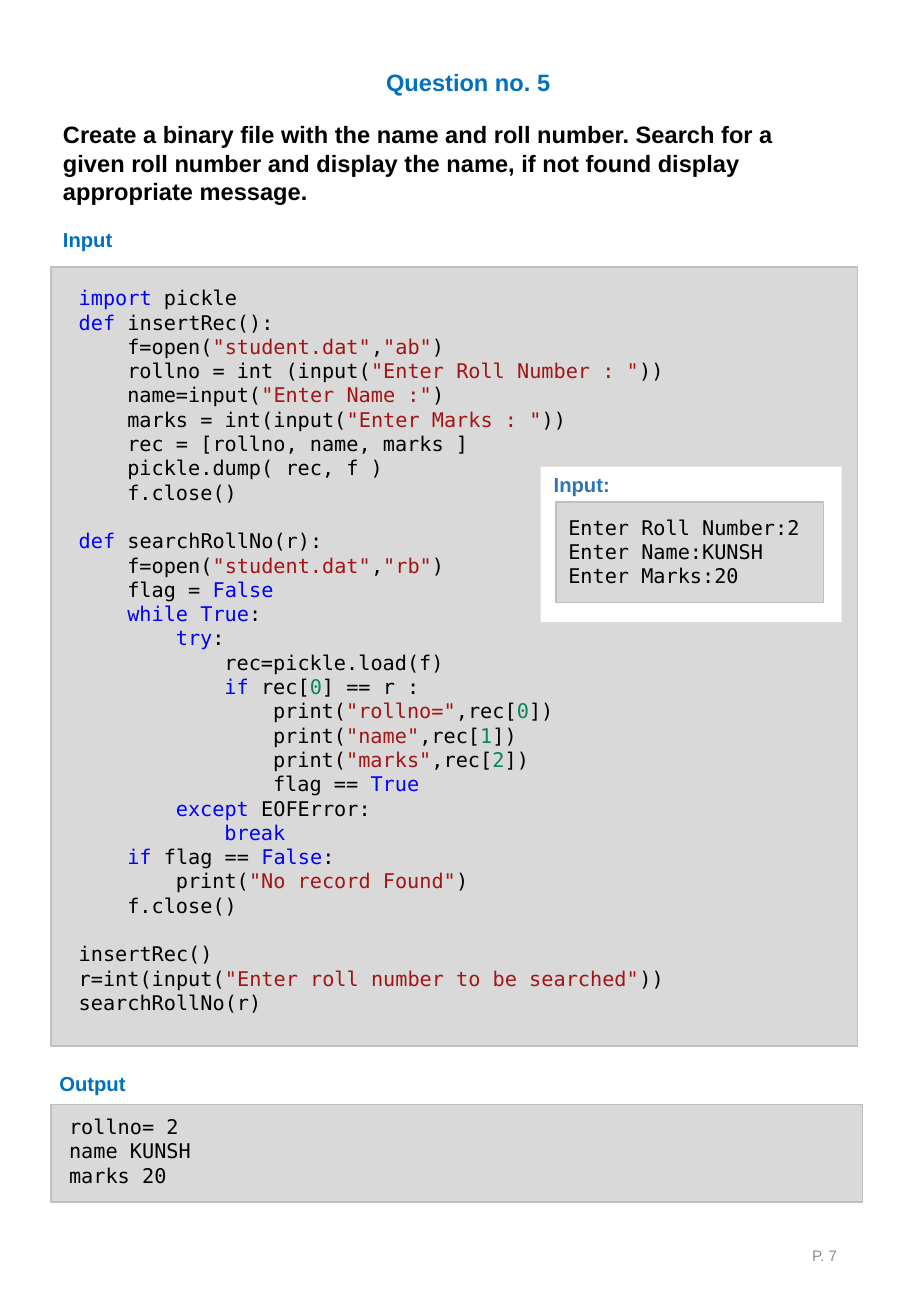
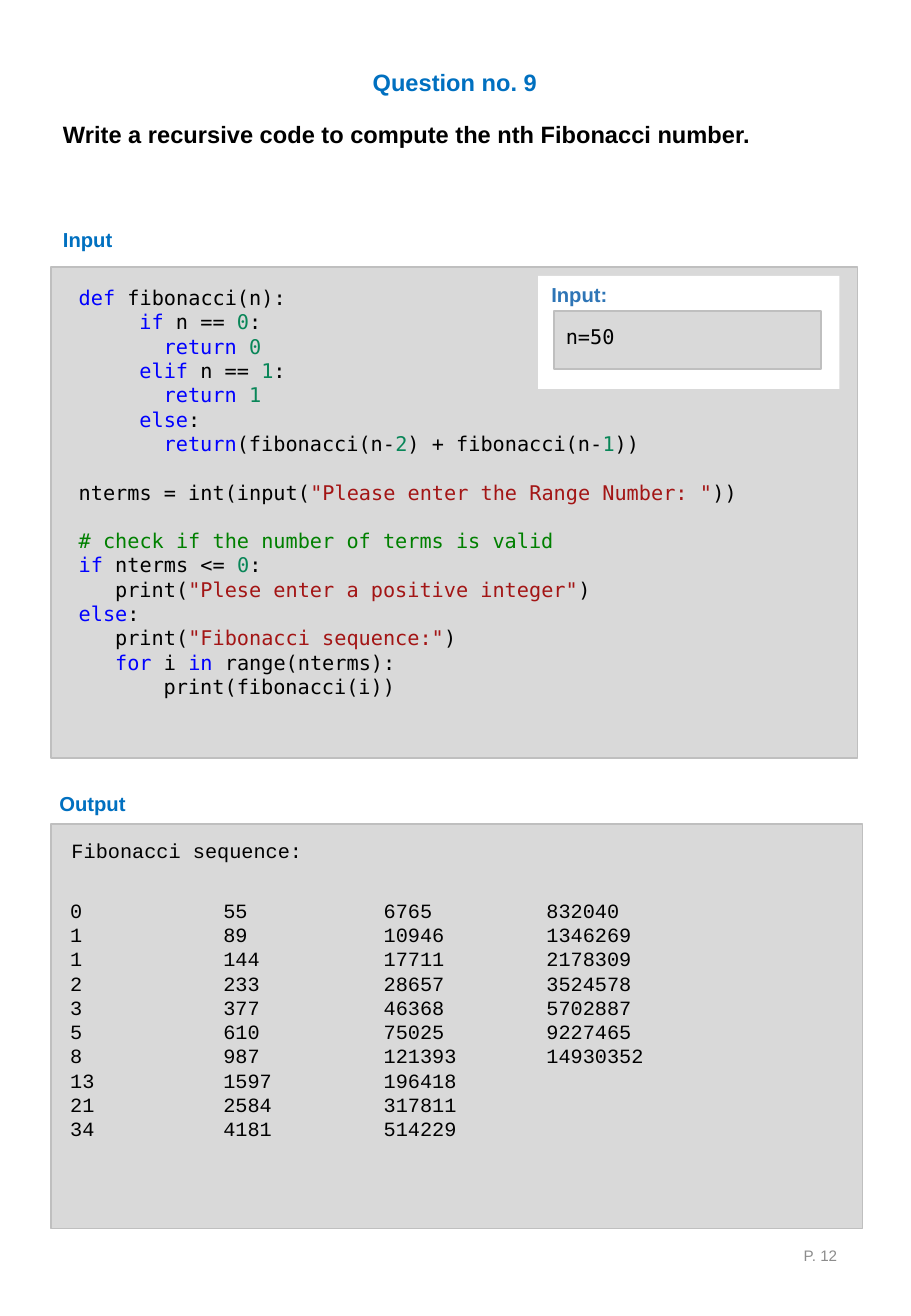
from itertools import groupby

from pptx import Presentation
from pptx.dml.color import RGBColor
from pptx.enum.shapes import MSO_SHAPE
from pptx.enum.text import MSO_ANCHOR, PP_ALIGN
from pptx.util import Inches, Pt

BLACK = RGBColor(0x00, 0x00, 0x00)
WHITE = RGBColor(0xFF, 0xFF, 0xFF)
BLUE = RGBColor(0x00, 0x70, 0xC0)
STEEL = RGBColor(0x2E, 0x75, 0xB6)
PANEL = RGBColor(0xD9, 0xD9, 0xD9)
EDGE = RGBColor(0xBF, 0xBF, 0xBF)
GREY = RGBColor(0x8C, 0x8C, 0x8C)
KEYWORD = RGBColor(0x00, 0x00, 0xFF)
STRING = RGBColor(0xA3, 0x15, 0x15)
NUMBER = RGBColor(0x09, 0x86, 0x58)
COMMENT = RGBColor(0x00, 0x80, 0x00)

SANS, MONO, COURIER = "Arial", "DejaVu Sans Mono", "Courier New"
WORDS = set("import def False True while try if elif else except break "
            "return for in".split())
CHAR = 0.1   # width of one code character, in inches
LINE = 14.4  # height of one code line, in points

SEARCH = '''\
import pickle
def insertRec():
    f=open("student.dat","ab")
    rollno = int (input("Enter Roll Number : "))
    name=input("Enter Name :")
    marks = int(input("Enter Marks : "))
    rec = [rollno, name, marks ]
    pickle.dump( rec, f )
    f.close()

def searchRollNo(r):
    f=open("student.dat","rb")
    flag = False
    while True:
        try:
            rec=pickle.load(f)
            if rec[0] == r :
                print("rollno=",rec[0])
                print("name",rec[1])
                print("marks",rec[2])
                flag == True
        except EOFError:
            break
    if flag == False:
        print("No record Found")
    f.close()

insertRec()
r=int(input("Enter roll number to be searched"))
searchRollNo(r)'''

FIBO = '''\
def fibonacci(n):
     if n == 0:
       return 0
     elif n == 1:
       return 1
     else:
       return(fibonacci(n-2) + fibonacci(n-1))

nterms = int(input("Please enter the Range Number: "))

# check if the number of terms is valid
if nterms <= 0:
   print("Plese enter a positive integer")
else:
   print("Fibonacci sequence:")
   for i in range(nterms):
       print(fibonacci(i))'''


def style(run, font, size, color, bold=False):
    run.font.name = font
    run.font.size = Pt(size)
    run.font.bold = bold
    run.font.color.rgb = color


def frame(slide, left, top, width, height, wrap=True):
    box = slide.shapes.add_textbox(*map(Inches, (left, top, width, height)))
    box.text_frame.word_wrap = wrap
    return box.text_frame


def write(slide, box, text, font=MONO, size=12, color=BLACK, bold=False,
          wrap=True):
    area = frame(slide, *box, wrap=wrap)
    area.text = text
    for para in area.paragraphs:
        for run in para.runs:
            style(run, font, size, color, bold)
    return area


def label(slide, left, top, text, color=BLUE):
    write(slide, (left, top, 1.75, 0.3), text, SANS, 12, color, True)


def rect(slide, left, top, width, height, fill=PANEL, edge=EDGE):
    shape = slide.shapes.add_shape(
        MSO_SHAPE.RECTANGLE, *map(Inches, (left, top, width, height)))
    shape.shadow.inherit = False
    shape.fill.solid()
    shape.fill.fore_color.rgb = fill
    if edge is None:
        shape.line.fill.background()
    else:
        shape.line.color.rgb = edge
        shape.line.width = Pt(1)


def tint(word):
    if word in WORDS:
        return KEYWORD
    return NUMBER if word.isdigit() else BLACK


def tokens(line):
    """Split a code line into (text, colour) pairs."""
    if line.startswith("#"):
        return [(line, COMMENT)]
    pairs = []
    for i, part in enumerate(line.split('"')):
        if i % 2:
            pairs.append((f'"{part}"', STRING))
        else:
            pairs += [(word, tint(word)) for word in
                      ("".join(group) for _, group in groupby(part, str.isalnum))]
    return pairs


def code(slide, left, top, width, height, source):
    """Panel of coloured code; an empty source line becomes space above."""
    rect(slide, left, top, width, height)
    area = frame(slide, left + 0.13, top + 0.1, 6.07, height - 0.2)
    para, gap = area.paragraphs[0], 0
    for i, line in enumerate(source.splitlines()):
        if not line:
            gap = LINE
            continue
        if i:
            para = area.add_paragraph()
        para.space_before = Pt(gap)
        gap = 0
        bare = line.lstrip()
        indent = Inches(CHAR * (len(line) - len(bare)))
        props = para._p.get_or_add_pPr()
        props.set("marL", str(indent))
        props.set("indent", "0")
        for text, color in tokens(bare):
            run = para.add_run()
            run.text = text
            style(run, MONO, 12, color)


def entry(slide, left, top, height, text):
    """White card that shows what the user types."""
    rect(slide, left, top, 2.48, height, WHITE, None)
    rect(slide, left + 0.13, top + 0.29, 2.2, height - 0.45)
    label(slide, left + 0.01, top, "Input:", STEEL)
    write(slide, (left + 0.13, top + 0.35, 2.19, height - 0.6), text)


def output(slide, top, height):
    label(slide, 0.39, top - 0.32, "Output")
    rect(slide, 0.42, top, 6.68, height)


def page(deck, number, left, title, task, source, height):
    slide = deck.slides.add_slide(deck.slide_layouts[6])
    foot = write(slide, (5.3, 10.04, 1.69, 0.58), f"P. {number}", SANS, 9, GREY)
    foot.vertical_anchor = MSO_ANCHOR.MIDDLE
    foot.paragraphs[0].alignment = PP_ALIGN.RIGHT
    write(slide, (left, 0.51, 1.56, 0.34), title, SANS, 14, BLUE, True, False)
    write(slide, (0.42, 0.94, 6.08, 0.81), task, SANS, 14, BLACK, True)
    label(slide, 0.42, 1.82, "Input")
    code(slide, 0.42, 2.2, 6.64, height, source)
    return slide


def search(deck):
    slide = page(deck, 7, 3.08, "Question no. 5",
                 "Create a binary file with the name and roll number. Search "
                 "for a given roll number and display the name, if not found "
                 "display appropriate message.", SEARCH, 6.41)
    entry(slide, 4.45, 3.84, 1.28,
          "Enter Roll Number:2\nEnter Name:KUNSH\nEnter Marks:20")
    output(slide, 9.09, 0.8)
    write(slide, (0.47, 9.12, 3.22, 0.71), "rollno= 2\nname KUNSH\nmarks 20")


def fibo(deck):
    slide = page(deck, 12, 2.97, "Question no. 9",
                 "Write a recursive code to compute the nth Fibonacci number.",
                 FIBO, 4.04)
    entry(slide, 4.43, 2.27, 0.93, "n=50")
    top = 6.78
    output(slide, top, 3.33)
    write(slide, (0.49, top + 0.07, 3.75, 0.3), "Fibonacci sequence:", COURIER)
    terms = [0, 1]
    while len(terms) < 37:
        terms.append(terms[-1] + terms[-2])
    for i, left in enumerate((0.48, 1.74, 3.06, 4.4)):
        column = terms[10 * i:10 * i + 10]
        write(slide, (left, top + 0.56, 1.15, 2.12),
              "\n".join(map(str, column)), COURIER)


def main():
    deck = Presentation()
    deck.slide_width, deck.slide_height = Inches(7.5), Inches(10.83)
    search(deck)
    fibo(deck)
    deck.save("out.pptx")


if __name__ == "__main__":
    main()
